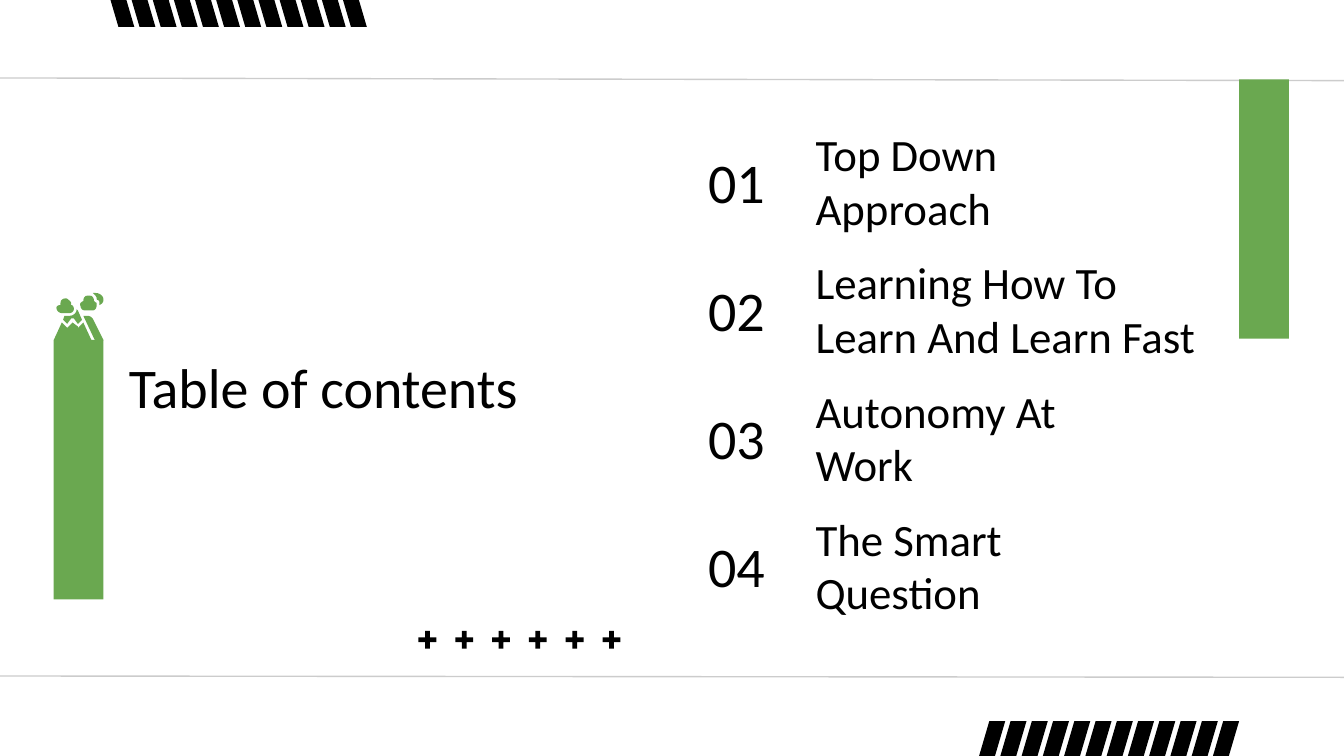
from pptx import Presentation
from pptx.dml.color import RGBColor
from pptx.enum.shapes import MSO_CONNECTOR, MSO_SHAPE
from pptx.enum.text import MSO_ANCHOR
from pptx.oxml.ns import qn
from pptx.util import Inches, Pt

BLACK = RGBColor(0x00, 0x00, 0x00)
GREEN = RGBColor(0x6A, 0xA8, 0x50)
GRAY = RGBColor(0xCC, 0xCC, 0xCC)
FONT = "Calibri"
STRAIGHT = MSO_CONNECTOR.STRAIGHT
RECTANGLE = MSO_SHAPE.RECTANGLE
PARALLELOGRAM = MSO_SHAPE.PARALLELOGRAM
PLUS = MSO_SHAPE.MATH_PLUS
TOP, MIDDLE = MSO_ANCHOR.TOP, MSO_ANCHOR.MIDDLE

# 16:9 page
PAGE_WIDTH = 10
PAGE_HEIGHT = PAGE_WIDTH * 9 / 16

# Topic and width of its text box
TOPICS = [
    ("Top Down Approach", 2.77),
    ("Learning How To Learn And Learn Fast", 3.17),
    ("Autonomy At Work", 2.77),
    ("The Smart Question", 2.77),
]

# Outlines in hundredths of an inch: a pair is a corner, six numbers a Bezier curve
MOUNTAIN_PARTS = [
    # Right slope
    [(25, 17), (22, 17), (31, 36), (36, 36), (37, 35), (29, 19),
     (28, 18, 27, 17, 25, 17)],
    # Right cloud
    [(26, 2), (25, 2), (23, 2, 22, 4, 22, 6), (20, 7, 19, 8, 20, 10),
     (20, 11, 21, 13, 23, 13), (29, 13), (31, 13, 32, 11, 32, 9),
     (32, 8, 32, 7, 31, 7), (30, 6), (30, 4, 29, 2, 27, 2)],
    # Sun
    [(31, 0), (29, 0), (30, 1, 30, 1, 31, 2), (32, 3, 32, 4, 32, 5),
     (33, 5, 34, 6, 34, 7), (34, 9), (36, 8, 37, 7, 37, 5),
     (37, 2, 34, 0, 31, 0)],
    # Left cloud
    [(9, 4), (6, 4, 5, 6, 5, 8), (5, 9), (3, 9, 2, 10, 2, 11),
     (2, 13, 4, 15, 6, 15), (12, 15), (13, 15, 15, 14, 15, 12),
     (15, 10, 14, 9, 13, 9), (13, 7, 13, 7, 12, 6), (11, 5, 10, 4, 9, 4)],
    # Snow cap
    [(17, 12), (17, 13, 17, 14, 16, 15), (15, 16, 14, 17, 12, 17), (8, 17),
     (7, 20), (10, 23), (13, 19), (15, 19), (18, 23), (21, 20), (18, 13)],
    # Left slope
    [(14, 22), (11, 25), (10, 26), (9, 25), (6, 22), (0, 35), (1, 36),
     (27, 36), (28, 35), (22, 22), (19, 25), (18, 26), (18, 25)],
]


def paint(shape, color):
    shape.shadow.inherit = False
    shape.fill.solid()
    shape.fill.fore_color.rgb = color
    shape.line.fill.background()


def add_block(page, kind, left, top, width, height, color):
    block = page.shapes.add_shape(
        kind, Inches(left), Inches(top), Inches(width), Inches(height))
    paint(block, color)
    return block


def add_text(page, text, left, top, width, height, size, anchor):
    box = page.shapes.add_textbox(
        Inches(left), Inches(top), Inches(width), Inches(height))
    frame = box.text_frame
    frame.word_wrap = True
    frame.vertical_anchor = anchor
    frame.margin_left = frame.margin_right = Inches(0.1)
    frame.margin_top = frame.margin_bottom = Inches(0.1)
    frame.text = text
    font = frame.paragraphs[0].runs[0].font
    font.name, font.size, font.color.rgb = FONT, Pt(size), BLACK


def add_rule(page, left, top, width, drop):
    rule = page.shapes.add_connector(
        STRAIGHT, Inches(left), Inches(top),
        Inches(left + width), Inches(top + drop))
    rule.line.color.rgb = GRAY
    rule.line.width = Pt(0.75)
    properties = rule._element.spPr
    properties.append(properties.makeelement(qn("a:effectLst"), {}))


def add_stripes(page, left, top, width, height, mirrored):
    stripe_width, count = 0.23, 12
    pitch = (width - stripe_width) / (count - 1)
    for index in range(count):
        stripe = add_block(page, PARALLELOGRAM, left + index * pitch, top,
                           stripe_width, height, BLACK)
        stripe.adjustments[0] = 0.485
        if mirrored:
            stripe._element.spPr.xfrm.set("flipH", "1")


def flatten(outline, steps=5):
    """Turn corners and Bezier curves into a list of points."""
    points = []
    for part in outline:
        if len(part) == 2:
            points.append(part)
            continue
        controls = (points[-1], part[:2], part[2:4], part[4:])
        for step in range(1, steps + 1):
            t = step / steps
            weights = ((1 - t) ** 3, 3 * t * (1 - t) ** 2,
                       3 * t ** 2 * (1 - t), t ** 3)
            points.append(tuple(
                sum(w * point[axis] for w, point in zip(weights, controls))
                for axis in (0, 1)))
    return points


def add_mountain(page, left, top):
    for outline in MOUNTAIN_PARTS:
        points = [(Inches(left + x / 100), Inches(top + y / 100))
                  for x, y in flatten(outline)]
        builder = page.shapes.build_freeform(*points[0])
        builder.add_line_segments(points[1:], close=True)
        paint(builder.convert_to_shape(), GREEN)


def add_pluses(page, left, top, width, size):
    count = 6
    pitch = (width - size) / (count - 1)
    for index in range(count):
        plus = add_block(page, PLUS, left + index * pitch, top, size, size, BLACK)
        plus.adjustments[0] = 0.197


def add_topics(page, left, top, height):
    row_height, number_width = 0.49, 0.8
    pitch = (height - row_height) / (len(TOPICS) - 1)
    for index, (topic, width) in enumerate(TOPICS):
        row_top = top + index * pitch
        add_text(page, f"{index + 1:02}", left, row_top,
                 number_width, row_height, 30, MIDDLE)
        add_text(page, topic, left + number_width, row_top,
                 width, row_height, 24, MIDDLE)


def add_frame(page, left, top, width, height):
    # Rules and stripes along the top and bottom edges
    add_rule(page, left - 0.04, top + 0.58, width + 0.08, 0.02)
    add_rule(page, left - 0.04, top + 5.03, width + 0.08, 0.01)
    add_stripes(page, left + 0.77, top - 0.18, 1.96, 0.38, True)
    add_stripes(page, left + 7.25, top + height - 0.26, 1.97, 0.38, False)
    # Green bars, the left one topped by the mountain
    add_block(page, RECTANGLE, left + 9.22, top + 0.59, 0.37, 1.93, GREEN)
    add_block(page, RECTANGLE, left + 0.4, top + 2.53, 0.37, 1.93, GREEN)
    add_mountain(page, left + 0.4, top + 2.18)


def main():
    deck = Presentation()
    deck.slide_width = Inches(PAGE_WIDTH)
    deck.slide_height = Inches(PAGE_HEIGHT)
    page = deck.slides.add_slide(deck.slide_layouts[6])
    add_frame(page, 0, 0, PAGE_WIDTH, PAGE_HEIGHT)
    add_text(page, "Table of contents", 0.86, 2.52, 4.22, 0.59, 30, TOP)
    add_topics(page, 5.17, 1.1, 3.35)
    add_pluses(page, 3.09, 4.67, 1.55, 0.18)
    deck.save("out.pptx")


if __name__ == "__main__":
    main()
